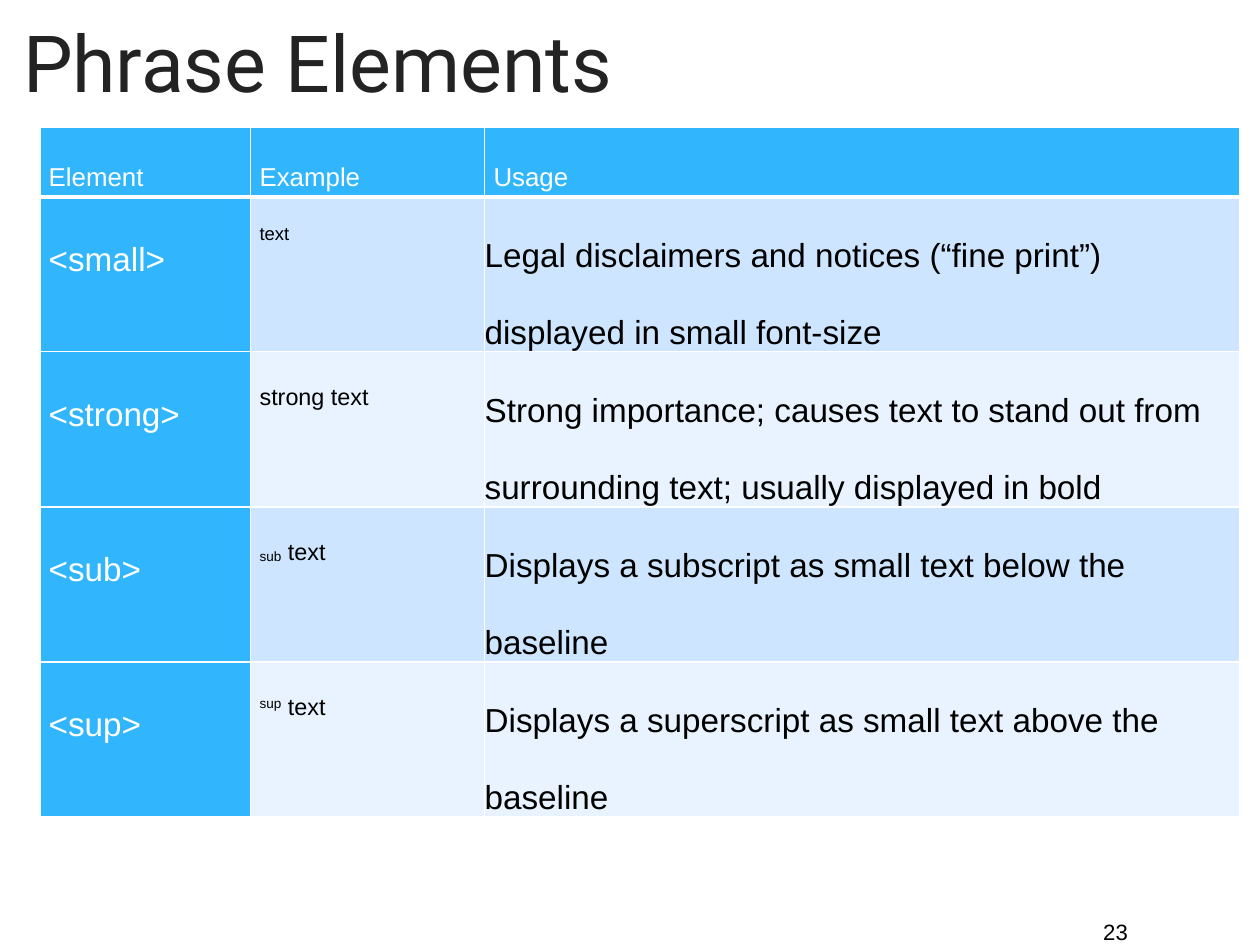
from dataclasses import dataclass
from typing import Any

from lxml import etree
from pptx import Presentation
from pptx.dml.color import RGBColor
from pptx.enum.text import MSO_ANCHOR, MSO_AUTO_SIZE, PP_ALIGN
from pptx.oxml.ns import qn
from pptx.util import Inches, Pt

LEFT, CENTER = PP_ALIGN.LEFT, PP_ALIGN.CENTER
MIDDLE, TOP = MSO_ANCHOR.MIDDLE, MSO_ANCHOR.TOP
NO_FIT = MSO_AUTO_SIZE.NONE

WHITE, BLACK, INK = "FFFFFF", "000000", "232323"
BLUE, PALE, LIGHT = "31B6FD", "CDE5FE", "E8F3FF"
THIN, THICK = 1.33, 4
WIDTHS = (2.38, 2.64, 8.52)
HEAD_H, ROW_H = 0.78, 1.75
PAD = dict.fromkeys(
    ("margin_left", "margin_top", "margin_right", "margin_bottom"), Inches(0.06)
)
FLUSH = dict.fromkeys(PAD, 0)


@dataclass
class Style:
    size: float
    color: str
    lead: float = 0
    font: str = "Arial"
    align: Any = LEFT


@dataclass
class Entry:
    tag: str
    sample: str
    usage: str
    style: Style
    script: str = ""
    shift: int = 0


HEAD = Style(21, WHITE, 49)
TAG = Style(27, WHITE, 63)
USAGE = Style(27, BLACK, 63)
SMALL = Style(15, BLACK, 35)
SAMPLE = Style(19, BLACK, 44)

HEADS = ("Element", "Example", "Usage")
ENTRIES = (
    Entry("<small>", "text",
          "Legal disclaimers and notices (“fine print”) displayed in small font-size",
          SMALL),
    Entry("<strong>", "strong text",
          "Strong importance; causes text to stand out from surrounding text; "
          "usually displayed in bold", SAMPLE),
    Entry("<sub>", " text", "Displays a subscript as small text below the baseline",
          SAMPLE, "sub", -6000),
    Entry("<sup>", " text", "Displays a superscript as small text above the baseline",
          SAMPLE, "sup", 32000),
)


def hue(code: str) -> RGBColor:
    return RGBColor.from_string(code)


def apply(target: Any, values: dict[str, Any]) -> None:
    for name, value in values.items():
        setattr(target, name, value)


def write(frame: Any, text: str, style: Style, script: str = "", shift: int = 0) -> None:
    para = frame.paragraphs[0]
    para.alignment = style.align
    if style.lead:
        para.line_spacing = Pt(style.lead)
    for part, base in ((script, shift), (text, 0)):
        if not part:
            continue
        run = para.add_run()
        run.text = part
        apply(run.font, {"name": style.font, "size": Pt(style.size), "bold": False})
        run.font.color.rgb = hue(style.color)
        if base:
            run.font._element.set("baseline", str(base))


def edge(cell: Any, top: float, bottom: float) -> None:
    props = cell._tc.get_or_add_tcPr()
    sides = {"lnL": THIN, "lnR": THIN, "lnT": top, "lnB": bottom}
    for index, (side, width) in enumerate(sides.items()):
        line = etree.Element(qn(f"a:{side}"), w=str(Pt(width)))
        fill = etree.SubElement(line, qn("a:solidFill"))
        etree.SubElement(fill, qn("a:srgbClr"), val=WHITE)
        props.insert(index, line)


def paint(cell: Any, color: str, row: int) -> None:
    cell.fill.solid()
    cell.fill.fore_color.rgb = hue(color)
    cell.vertical_anchor = TOP
    edge(cell, THICK if row == 1 else THIN, THICK if row == 0 else THIN)


def add_title(slide: Any) -> None:
    title = slide.shapes.title
    apply(title, {"left": Inches(0.2), "top": Inches(0.06),
                  "width": Inches(6.9), "height": Inches(1.25)})
    apply(title.text_frame, {**PAD, "vertical_anchor": MIDDLE,
                             "auto_size": NO_FIT, "word_wrap": True})
    write(title.text_frame, "Phrase Elements", Style(64, INK, font="Roboto"))


def add_number(slide: Any) -> None:
    box = slide.shapes.add_textbox(
        Inches(12.34), Inches(10.31), Inches(0.5), Inches(0.33))
    apply(box.text_frame, {**PAD, "word_wrap": False})
    write(box.text_frame, "23", Style(18, BLACK, align=CENTER))


def add_grid(slide: Any) -> None:
    count = len(ENTRIES)
    table = slide.shapes.add_table(
        count + 1, len(WIDTHS), Inches(0.45), Inches(1.44),
        Inches(sum(WIDTHS)), Inches(HEAD_H + count * ROW_H)).table
    for column, width in zip(table.columns, WIDTHS):
        column.width = Inches(width)
    for index, row in enumerate(table.rows):
        row.height = Inches(ROW_H if index else HEAD_H)
    for col, label in enumerate(HEADS):
        cell = table.cell(0, col)
        paint(cell, BLUE, 0)
        write(cell.text_frame, label, HEAD)
    for row, entry in enumerate(ENTRIES, 1):
        tag, sample, usage = (table.cell(row, col) for col in range(len(WIDTHS)))
        band = PALE if row % 2 else LIGHT
        for cell, color in ((tag, BLUE), (sample, band), (usage, band)):
            paint(cell, color, row)
        apply(usage, FLUSH)
        write(tag.text_frame, entry.tag, TAG)
        write(sample.text_frame, entry.sample, entry.style, entry.script, entry.shift)
        write(usage.text_frame, entry.usage, USAGE)


def main() -> None:
    deck = Presentation()
    apply(deck, {"slide_width": Inches(14.22), "slide_height": Inches(10.67)})
    slide = deck.slides.add_slide(deck.slide_layouts[5])
    add_number(slide)
    add_title(slide)
    add_grid(slide)
    deck.save("out.pptx")


if __name__ == "__main__":
    main()
